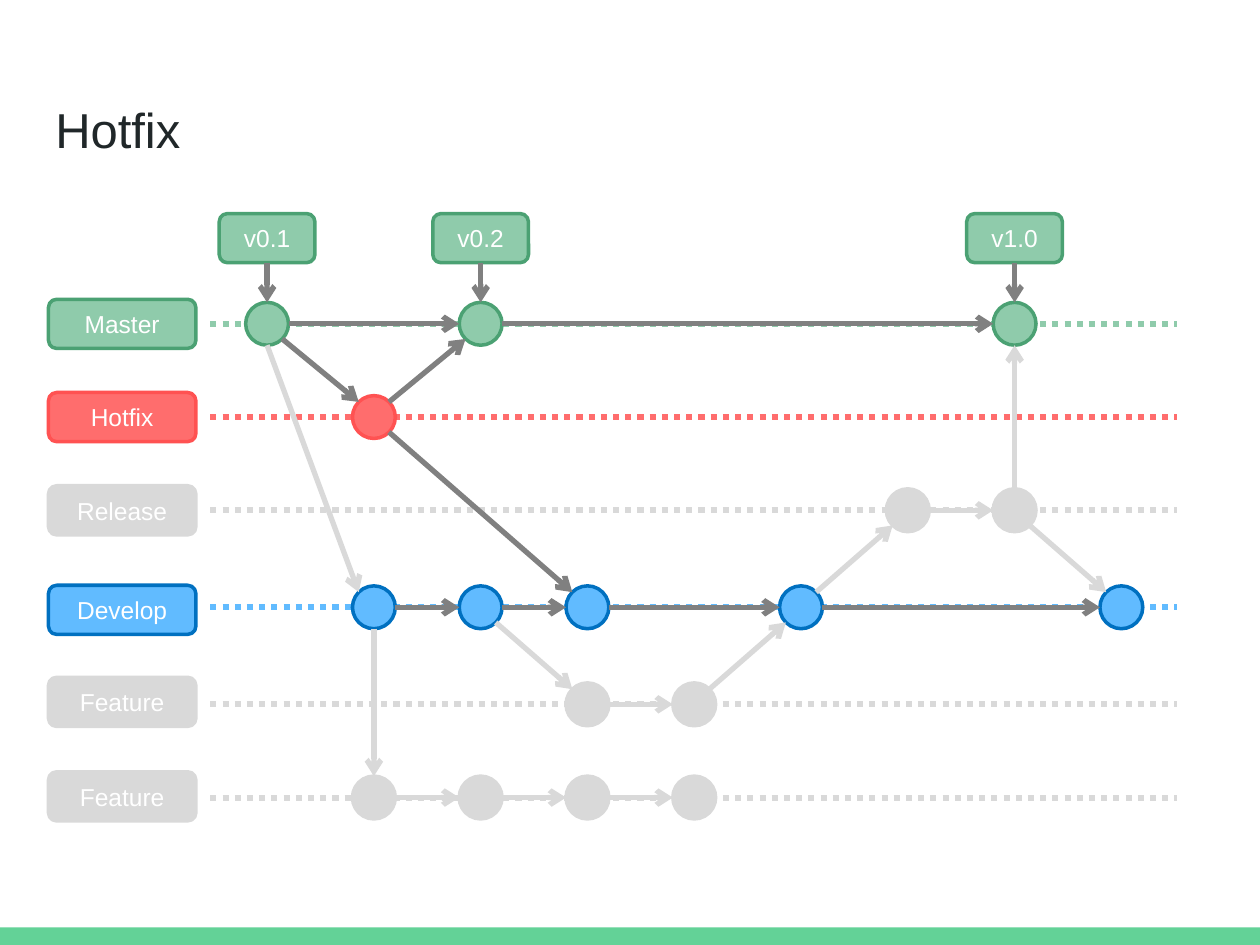
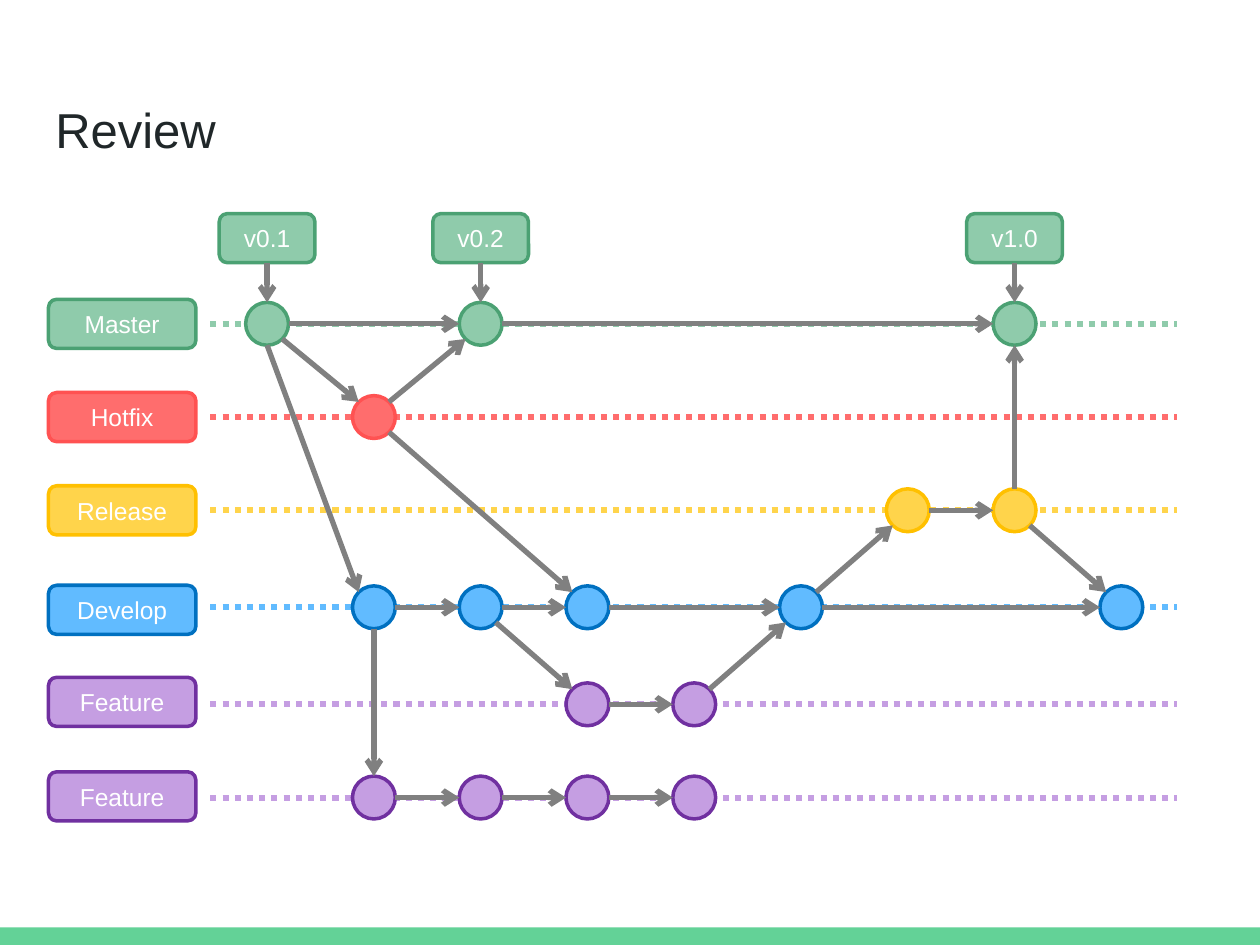
import math
from dataclasses import dataclass

from lxml import etree
from pptx import Presentation
from pptx import util as u
from pptx.dml import color
from pptx.enum import dml, shapes, text
from pptx.oxml import ns
from pptx.shapes.autoshape import Shape
from pptx.shapes.connector import Connector
from pptx.slide import Slide

COLORS = {
    "title": "202729",
    "band": "63D297",
    "arrow": "808080",
    "muted": "D9D9D9",
    "white": "FFFFFF",
    "green": "8FCBAB",
    "green_edge": "4BA173",
    "red": "FF6D6D",
    "red_edge": "FF5252",
    "yellow": "FFD44B",
    "yellow_edge": "FFC000",
    "blue": "61BBFF",
    "blue_edge": "0070C0",
    "purple": "C59EE2",
    "purple_edge": "7030A0",
}
FONT = "Arial"
FIRST_COLUMN, LAST_COLUMN, COLUMN_STEPS = 2.12, 8.9, 8
RADIUS = 0.17
LABEL_WIDTH, TAG_WIDTH, LABEL_HEIGHT = 1.17, 0.76, 0.39
LABEL_CENTER, TAG_CENTER = 0.97, 1.89
LANE_LEFT, LANE_RIGHT = 1.67, 9.34


@dataclass(frozen=True)
class Lane:
    label: str
    y: float
    label_y: float
    hue: str
    columns: tuple[int, ...]


@dataclass(frozen=True)
class Commit:
    lane: str
    column: int

    @property
    def center(self) -> tuple[float, float]:
        return column_x(self.column), LANES[self.lane].y


@dataclass(frozen=True)
class Link:
    source: Commit
    target: Commit

    @property
    def lanes(self) -> frozenset[str]:
        return frozenset((self.source.lane, self.target.lane))


@dataclass(frozen=True)
class FlowSlide:
    title: str
    muted_lanes: frozenset[str] = frozenset()
    muted_pairs: frozenset[frozenset[str]] = frozenset()


LANES = {
    "master": Lane("Master", 2.57, 2.57, "green", (0, 2, 7)),
    "develop": Lane("Develop", 4.82, 4.84, "blue", (1, 2, 3, 5, 8)),
    "hotfix": Lane("Hotfix", 3.31, 3.31, "red", (1,)),
    "release": Lane("Release", 4.05, 4.05, "yellow", (6, 7)),
    "feature_short": Lane("Feature", 5.59, 5.57, "purple", (3, 4)),
    "feature_long": Lane("Feature", 6.33, 6.32, "purple", (1, 2, 3, 4)),
}
BRANCH_LINKS = [
    Link(Commit(*source), Commit(*target))
    for source, target in (
        (("master", 0), ("hotfix", 1)),
        (("hotfix", 1), ("master", 2)),
        (("hotfix", 1), ("develop", 3)),
        (("master", 0), ("develop", 1)),
        (("develop", 1), ("feature_long", 1)),
        (("develop", 2), ("feature_short", 3)),
        (("feature_short", 4), ("develop", 5)),
        (("develop", 5), ("release", 6)),
        (("release", 7), ("develop", 8)),
        (("release", 7), ("master", 7)),
    )
]
LANE_LINKS = [
    Link(Commit(name, start), Commit(name, end))
    for name, lane in LANES.items()
    for start, end in zip(lane.columns, lane.columns[1:])
]
VERSIONS = {0: "v0.1", 2: "v0.2", 7: "v1.0"}
SLIDES = (
    FlowSlide(
        "Hotfix",
        frozenset({"release", "feature_short", "feature_long"}),
        frozenset({frozenset({"master", "develop"})}),
    ),
    FlowSlide("Review"),
)


def rgb(name: str) -> color.RGBColor:
    return color.RGBColor.from_string(COLORS[name])


def column_x(column: int) -> float:
    return FIRST_COLUMN + column * (LAST_COLUMN - FIRST_COLUMN) / COLUMN_STEPS


def sign(value: float) -> int:
    return (value > 0) - (value < 0)


def rim_point(center: tuple[float, float], angle: float) -> tuple[float, float]:
    return center[0] + RADIUS * math.cos(angle), center[1] + RADIUS * math.sin(angle)


def add_line(slide: Slide, start: tuple[float, float], end: tuple[float, float],
             hue: str, width: float) -> Connector:
    line = slide.shapes.add_connector(
        shapes.MSO_CONNECTOR.STRAIGHT, *(u.Inches(value) for value in (*start, *end)))
    line.line.color.rgb = rgb(hue)
    line.line.width = u.Pt(width)
    etree.SubElement(line._element.spPr, ns.qn("a:effectLst"))
    return line


def add_arrow(slide: Slide, start: tuple[float, float], end: tuple[float, float],
              hue: str) -> None:
    arrow = add_line(slide, start, end, hue, 3)
    etree.SubElement(arrow.line._get_or_add_ln(), ns.qn("a:tailEnd"), type="arrow")


def add_centered(slide: Slide, kind: shapes.MSO_SHAPE, center: tuple[float, float],
                 width: float, height: float, fill: str, edge: str) -> Shape:
    shape = slide.shapes.add_shape(
        kind, u.Inches(center[0] - width / 2), u.Inches(center[1] - height / 2),
        u.Inches(width), u.Inches(height))
    shape.shadow.inherit = False
    shape.fill.solid()
    shape.fill.fore_color.rgb = rgb(fill)
    shape.line.color.rgb = rgb(edge)
    shape.line.width = u.Pt(2)
    return shape


def write(shape: Shape, words: str, size: int, hue: str) -> None:
    paragraph = shape.text_frame.paragraphs[0]
    paragraph.text = words
    paragraph.font.name = FONT
    paragraph.font.size = u.Pt(size)
    paragraph.font.color.rgb = rgb(hue)


def add_label(slide: Slide, words: str, center: tuple[float, float], width: float,
              fill: str, edge: str) -> None:
    label = add_centered(slide, shapes.MSO_SHAPE.ROUNDED_RECTANGLE, center,
                         width, LABEL_HEIGHT, fill, edge)
    label.text_frame.vertical_anchor = text.MSO_ANCHOR.MIDDLE
    write(label, words, 14, "white")
    label.text_frame.paragraphs[0].alignment = text.PP_ALIGN.CENTER


def add_frame(slide: Slide, title: str) -> None:
    band = slide.shapes.add_shape(
        shapes.MSO_SHAPE.RECTANGLE, 0, u.Inches(7.36), u.Inches(10), u.Inches(0.14))
    band.shadow.inherit = False
    band.fill.solid()
    band.fill.fore_color.rgb = rgb("band")
    band.line.fill.background()
    box = slide.shapes.add_textbox(
        u.Inches(0.34), u.Inches(0.65), u.Inches(9.32), u.Inches(0.55))
    box.text_frame.word_wrap = True
    box.text_frame.margin_top = u.Inches(0.14)
    box.text_frame.margin_left = box.text_frame.margin_right = u.Inches(0.1)
    write(box, title, 28, "title")


def add_link(slide: Slide, link: Link, hue: str) -> None:
    start, end = link.source.center, link.target.center
    across, down = end[0] - start[0], end[1] - start[1]
    eighth = math.pi / 4
    leave = round(math.atan2(down, across) / eighth) * eighth
    arrive = math.atan2(sign(down), sign(across)) + math.pi
    add_arrow(slide, rim_point(start, leave), rim_point(end, arrive), hue)


def draw_flow(slide: Slide, flow: FlowSlide) -> None:
    def hues(name: str) -> tuple[str, str]:
        if name in flow.muted_lanes:
            return "muted", "muted"
        return LANES[name].hue, f"{LANES[name].hue}_edge"

    add_frame(slide, flow.title)
    for name, lane in LANES.items():
        guide = add_line(slide, (LANE_LEFT, lane.y), (LANE_RIGHT, lane.y), hues(name)[0], 3.5)
        guide.line.dash_style = dml.MSO_LINE.ROUND_DOT
    for name, lane in LANES.items():
        for column in lane.columns:
            add_centered(slide, shapes.MSO_SHAPE.OVAL, Commit(name, column).center,
                         2 * RADIUS, 2 * RADIUS, *hues(name))
    for link in LANE_LINKS + BRANCH_LINKS:
        muted = link.lanes & flow.muted_lanes or link.lanes in flow.muted_pairs
        add_link(slide, link, "muted" if muted else "arrow")
    for name, lane in LANES.items():
        add_label(slide, lane.label, (LABEL_CENTER, lane.label_y), LABEL_WIDTH, *hues(name))
    for column, version in VERSIONS.items():
        x, y = Commit("master", column).center
        add_label(slide, version, (x, TAG_CENTER), TAG_WIDTH, *hues("master"))
        add_arrow(slide, (x, TAG_CENTER + LABEL_HEIGHT / 2), (x, y - RADIUS), "arrow")


def main() -> None:
    presentation = Presentation()
    presentation.slide_width = u.Inches(10)
    presentation.slide_height = u.Inches(7.5)
    for flow in SLIDES:
        draw_flow(presentation.slides.add_slide(presentation.slide_layouts[6]), flow)
    presentation.save("out.pptx")


if __name__ == "__main__":
    main()
